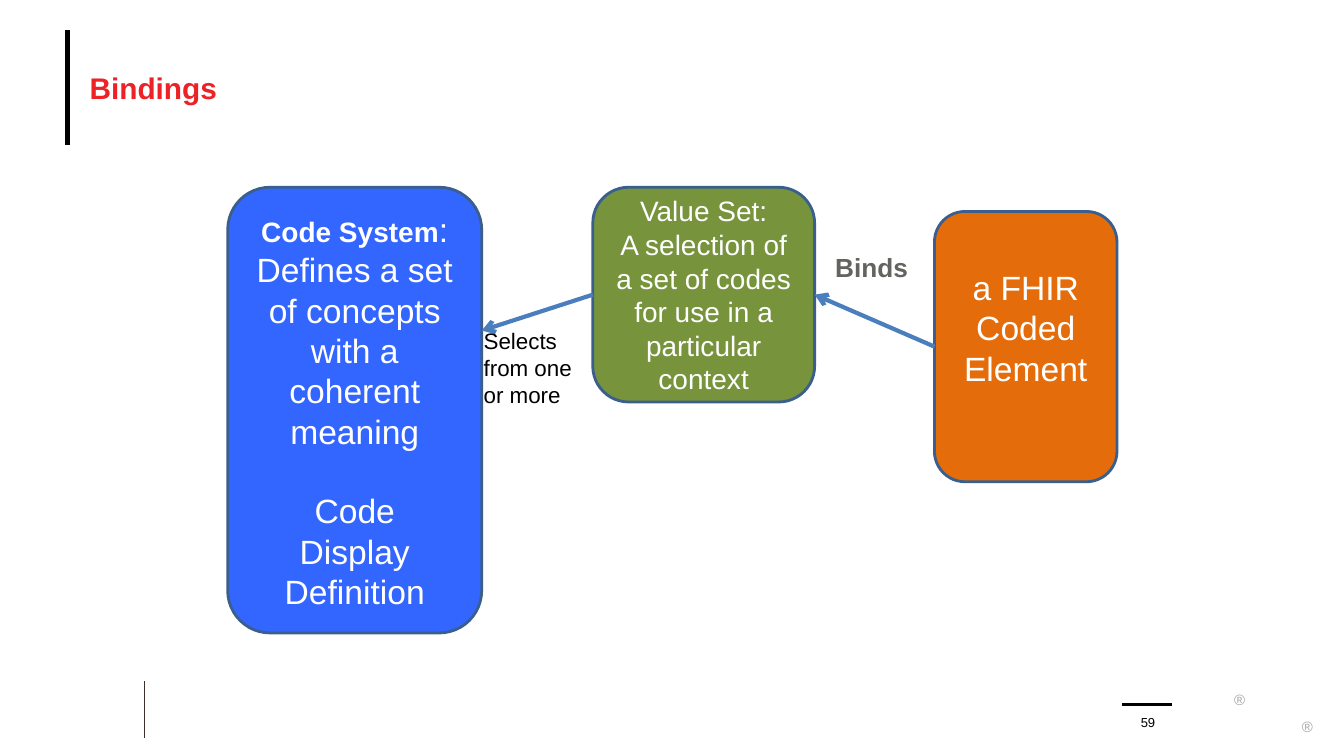
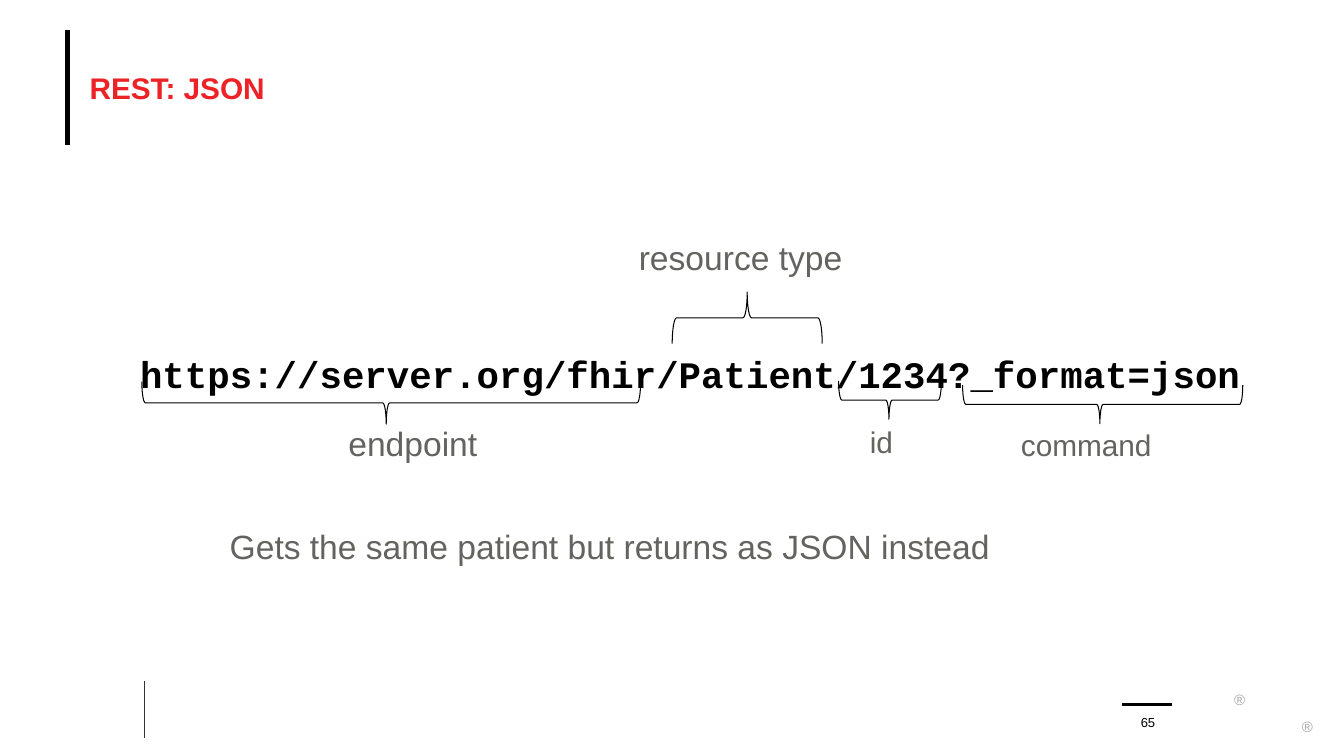
from lxml import etree
from pptx import Presentation
from pptx.dml.color import RGBColor
from pptx.enum.shapes import MSO_CONNECTOR, MSO_SHAPE
from pptx.enum.text import MSO_ANCHOR, PP_ALIGN
from pptx.oxml.ns import qn
from pptx.util import Cm, Pt

RED, BLACK, WHITE = "EC2227", "000000", "FFFFFF"
GREY, PALE_GREY, BROWN = "636360", "A6A6A6", "3D3029"
OUTLINE, ARROW = "3A5F8C", "4B7EBC"


def write(sp, text, size, color, bold=False, font="Arial", align=PP_ALIGN.LEFT,
          anchor=MSO_ANCHOR.TOP, wrap=True, inset=True):
    """Set the text of a shape, one paragraph a line, and format every run."""
    tf = sp.text_frame
    tf.word_wrap = wrap
    tf.vertical_anchor = anchor
    if not inset:
        tf.margin_left = tf.margin_right = tf.margin_top = tf.margin_bottom = 0
    tf.text = text
    for p in tf.paragraphs:
        p.alignment = align
        for r in p.runs:
            r.font.name = font
            r.font.size = Pt(size)
            r.font.bold = bold
            r.font.color.rgb = RGBColor.from_string(color)
    return tf


def add_line(s, x1, y1, x2, y2, color, width, arrow=False):
    line = s.shapes.add_connector(MSO_CONNECTOR.STRAIGHT, Cm(x1), Cm(y1), Cm(x2), Cm(y2))
    line.line.color.rgb = RGBColor.from_string(color)
    line.line.width = Pt(width)
    if arrow:
        etree.SubElement(line.line._get_or_add_ln(), qn("a:tailEnd"), type="arrow")
    etree.SubElement(line._element.spPr, qn("a:effectLst"))
    return line


prs = Presentation()
prs.slide_width, prs.slide_height = Cm(33.87), Cm(19.05)

# Shared frame: rules, marks, title and page number
slides = []
for title, number in [("Bindings", "59"), ("REST: JSON", "65")]:
    s = prs.slides.add_slide(prs.slide_layouts[6])
    slides.append(s)
    add_line(s, 3.64, 17.17, 3.64, 18.6, BROWN, 0.5)
    add_line(s, 1.7, 0.76, 1.7, 3.66, BLACK, 3.25)
    add_line(s, 28.27, 17.75, 29.54, 17.75, BLACK, 2)
    for x, y in [(31.04, 17.27), (32.75, 17.96)]:
        sp = s.shapes.add_textbox(Cm(x), Cm(y), Cm(0.4), Cm(0.71))
        write(sp, "®", 10.7, PALE_GREY, align=PP_ALIGN.CENTER,
              anchor=MSO_ANCHOR.MIDDLE, wrap=False, inset=False)
    sp = s.shapes.add_textbox(Cm(2.26), Cm(0.76), Cm(30.48), Cm(2.9))
    write(sp, title, 21.3, RED, bold=True, anchor=MSO_ANCHOR.MIDDLE, inset=False)
    sp = s.shapes.add_textbox(Cm(28.42), Cm(17.75), Cm(1.02), Cm(0.64))
    write(sp, number, 9.3, BLACK, align=PP_ALIGN.CENTER,
          anchor=MSO_ANCHOR.BOTTOM, inset=False)

bindings, rest = slides

# Bindings: three boxes joined by arrows
boxes = []
for text, size, fill, x, y, w, h in [
    ("Code System\nDefines a set of concepts with a coherent meaning\nCode\nDisplay\nDefinition",
     24, "3366FF", 5.74, 4.72, 6.4, 11.23),
    ("Value Set:\nA selection of a set of codes for use in a particular context",
     20, "77933C", 14.94, 4.72, 5.59, 5.41),
    ("a FHIR Coded Element", 24, "E46C0A", 23.55, 5.33, 4.6, 6.81),
]:
    sp = bindings.shapes.add_shape(MSO_SHAPE.ROUNDED_RECTANGLE, Cm(x), Cm(y), Cm(w), Cm(h))
    sp.shadow.inherit = False
    sp.fill.solid()
    sp.fill.fore_color.rgb = RGBColor.from_string(fill)
    sp.line.color.rgb = RGBColor.from_string(OUTLINE)
    sp.line.width = Pt(2)
    write(sp, text, size, WHITE, align=PP_ALIGN.CENTER, anchor=MSO_ANCHOR.MIDDLE)
    boxes.append(sp)
code_system, value_set, element = boxes

heading, _, code, *_ = code_system.text_frame.paragraphs
heading.runs[0].font.size = Pt(20)
heading.runs[0].font.bold = True
r = heading.add_run()
r.text = ":"
r.font.name = "Arial"
r.font.size = Pt(24)
r.font.color.rgb = RGBColor.from_string(WHITE)
code.space_before = Pt(28)
element.text_frame.margin_bottom = Cm(1.1)

selects = add_line(bindings, 14.94, 7.43, 12.14, 8.33, ARROW, 3, arrow=True)
selects.begin_connect(value_set, 1)
binds = add_line(bindings, 23.55, 8.74, 20.53, 7.43, ARROW, 3, arrow=True)
binds.begin_connect(element, 1)
binds.end_connect(value_set, 3)

sp = bindings.shapes.add_textbox(Cm(20.8), Cm(6.22), Cm(2.36), Cm(1.07))
write(sp, "Binds", 18.7, GREY, bold=True, wrap=False)
sp = bindings.shapes.add_textbox(Cm(11.94), Cm(8.13), Cm(3.2), Cm(2.31))
write(sp, "Selects from one or more", 16, BLACK)

# REST: JSON: a URL with its parts in braces
sp = rest.shapes.add_textbox(Cm(3.53), Cm(8.84), Cm(29.2), Cm(1.2))
write(sp, "https://server.org/fhir/Patient/1234?_format=json", 26.7, BLACK,
      bold=True, font="Courier New", inset=False)

# Brace centre, span, depth, rotation and tip position
for cx, cy, span, depth, rotation, tip in [
    (9.86, 10.15, 12.57, 1.07, 270, 0.49),
    (18.83, 8.01, 3.78, 1.3, 90, 0.5),
    (22.43, 10.08, 2.59, 0.97, 270, 0.49),
    (27.79, 10.19, 7.06, 0.97, 270, 0.49),
]:
    sp = rest.shapes.add_shape(MSO_SHAPE.LEFT_BRACE, Cm(cx - depth / 2), Cm(cy - span / 2),
                               Cm(depth), Cm(span))
    sp.rotation = rotation
    sp.adjustments[1] = tip
    sp.shadow.inherit = False
    sp.fill.background()
    sp.line.color.rgb = RGBColor.from_string(BLACK)
    sp.line.width = Pt(0.75)

for text, size, x, y, w in [
    ("endpoint", 24, 8.53, 10.54, 5.79),
    ("resource type", 24, 15.85, 5.84, 6.4),
    ("id", 21.3, 21.67, 10.54, 1.32),
    ("command", 21.3, 25.48, 10.64, 5.13),
    ("Gets the same patient but returns as JSON instead", 24, 5.54, 13.13, 20.5),
]:
    sp = rest.shapes.add_textbox(Cm(x), Cm(y), Cm(w), Cm(1.27))
    write(sp, text, size, GREY)

prs.save("out.pptx")
